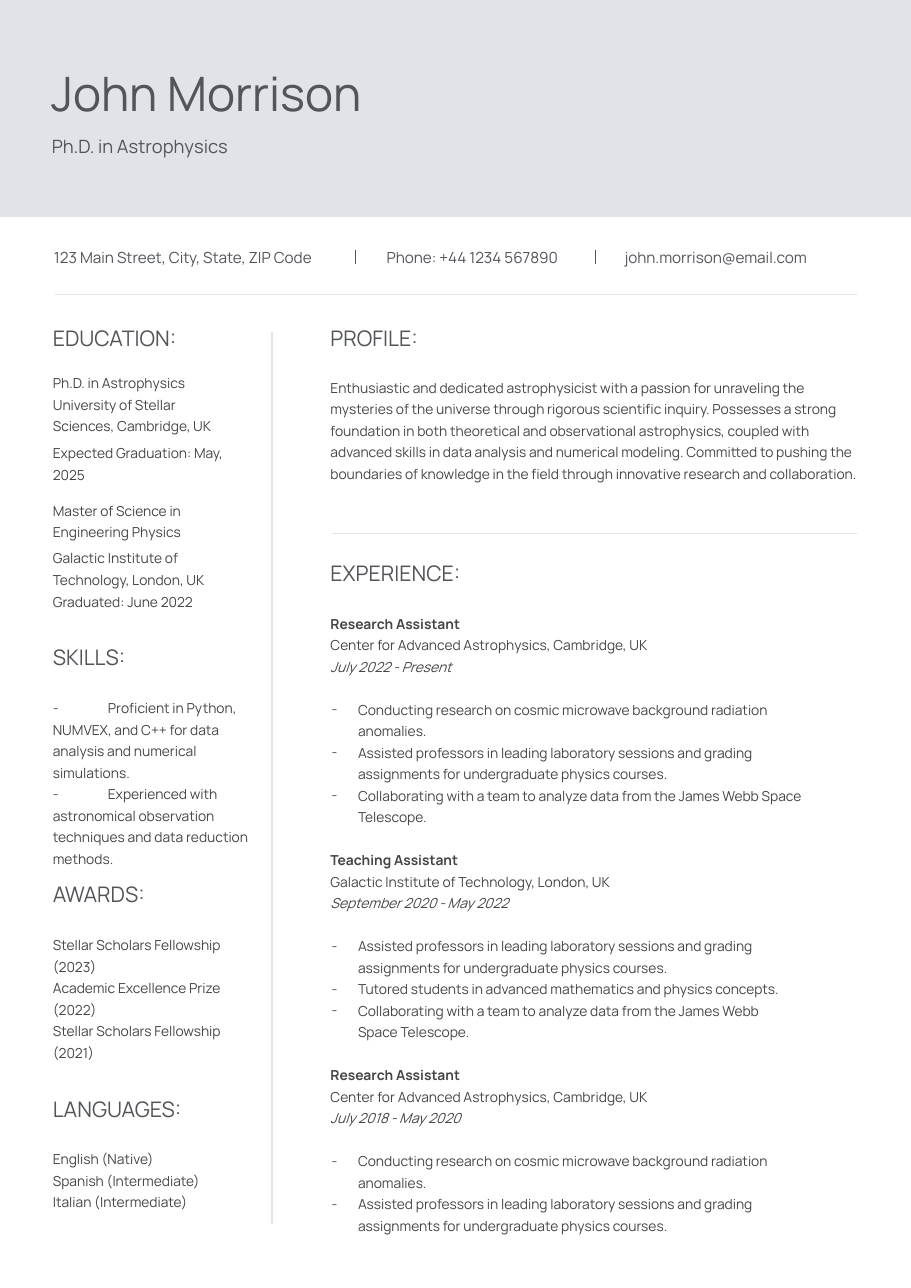
"""Build a one-page astrophysicist résumé slide."""
from dataclasses import dataclass

from lxml.etree import SubElement
from pptx import Presentation
from pptx.dml.color import RGBColor
from pptx.enum.shapes import MSO_CONNECTOR, MSO_SHAPE
from pptx.enum.text import MSO_ANCHOR, MSO_AUTO_SIZE, PP_ALIGN
from pptx.oxml.ns import qn
from pptx.shapes.base import BaseShape
from pptx.slide import Slide
from pptx.text.text import _Paragraph
from pptx.util import Pt

EMU_PER_PX = 9144
FONT = "Manrope"
COLOURS = {"band": "E2E3E9", "name": "535559", "heading": "525559", "body": "454545"}
SIDE_LEFT, MAIN_LEFT, SIDE_WIDTH, MAIN_WIDTH = 48, 300, 190, 478
BODY_SPACING = 1.3
LINE_GAP = 14


@dataclass(frozen=True)
class Box:
    """A rectangle in px."""
    left: int
    top: int
    width: int
    height: int


@dataclass(frozen=True)
class Style:
    """Size, colour and line spacing of a block of text."""
    size: int
    colour: str
    spacing: float = 1.0


@dataclass(frozen=True)
class Line:
    """One paragraph, with the space before it in points."""
    text: str
    before: float = 0
    bold: bool = False
    italic: bool = False
    dash: bool = False


@dataclass(frozen=True)
class Rule:
    """A straight line between two points in px."""
    start_x: int
    start_y: int
    end_x: int
    end_y: int
    colour: str = "band"


@dataclass(frozen=True)
class Job:
    """A post with its place, dates and duties."""
    role: str
    place: str
    dates: str
    duties: tuple[str, ...]


NAME = Style(31, "name")
DEGREE = Style(12, "name")
CONTACT = Style(10, "heading")
HEADING = Style(14, "heading")
BODY = Style(9, "body", BODY_SPACING)

RESEARCH = "Conducting research on cosmic microwave background radiation\vanomalies."
TEACHING = ("Assisted professors in leading laboratory sessions and grading\v"
            "assignments for undergraduate physics courses.")
ASTROPHYSICS_CENTER = "Center for Advanced Astrophysics, Cambridge, UK"
JOBS = [
    Job("Research Assistant", ASTROPHYSICS_CENTER, "July 2022 - Present", (
        RESEARCH, TEACHING,
        "Collaborating with a team to analyze data from the James Webb Space\vTelescope.")),
    Job("Teaching Assistant", "Galactic Institute of Technology, London, UK",
        "September 2020 - May 2022", (
            TEACHING,
            "Tutored students in advanced mathematics and physics concepts.",
            "Collaborating with a team to analyze data from the James Webb\vSpace Telescope.")),
    Job("Research Assistant", ASTROPHYSICS_CENTER, "July 2018 - May 2020",
        (RESEARCH, TEACHING)),
]
EDUCATION = [
    Line("Ph.D. in Astrophysics"),
    Line("University of Stellar"),
    Line("Sciences, Cambridge, UK"),
    Line("Expected Graduation: May,", before=3.5),
    Line("2025"),
    Line("Master of Science in", before=9.5),
    Line("Engineering Physics"),
    Line("Galactic Institute of", before=3),
    Line("Technology, London, UK"),
    Line("Graduated: June 2022"),
]
SKILLS = [
    Line("-\tProficient in Python, NUMVEX, and C++ for data analysis and numerical simulations."),
    Line("-\tExperienced with astronomical observation techniques and data reduction methods."),
]
AWARDS = [
    Line("Stellar Scholars Fellowship (2023)"),
    Line("Academic Excellence Prize (2022)"),
    Line("Stellar Scholars Fellowship (2021)"),
]
LANGUAGES = [Line("English (Native)"), Line("Spanish (Intermediate)"), Line("Italian (Intermediate)")]
PROFILE = [Line(
    "Enthusiastic and dedicated astrophysicist with a passion for unraveling the mysteries of the "
    "universe through rigorous scientific inquiry. Possesses a strong foundation in both theoretical "
    "and observational astrophysics, coupled with advanced skills in data analysis and numerical "
    "modeling. Committed to pushing the boundaries of knowledge in the field through innovative "
    "research and collaboration.")]
HEADINGS = [
    ("EDUCATION:", SIDE_LEFT, 295), ("SKILLS:", SIDE_LEFT, 585), ("AWARDS:", SIDE_LEFT, 800),
    ("LANGUAGES:", SIDE_LEFT, 995), ("PROFILE:", MAIN_LEFT, 295), ("EXPERIENCE:", MAIN_LEFT, 508),
]
CONTACTS = [
    ("123 Main Street, City, State, ZIP Code", 49, 261),
    ("Phone: +44 1234 567890", 351, 188),
    ("john.morrison@email.com", 567, 210),
]
RULES = [
    Rule(323, 227, 323, 240, "heading"), Rule(541, 227, 541, 240, "heading"),
    Rule(50, 267, 778, 267), Rule(247, 301, 247, 1111), Rule(301, 484, 778, 484),
]


def px(length: int) -> int:
    """Turn px into EMU."""
    return length * EMU_PER_PX


def colour(name: str) -> RGBColor:
    """Look up a named colour."""
    return RGBColor.from_string(COLOURS[name])


def job_lines(job: Job, first: bool) -> list[Line]:
    """List the paragraphs of one post."""
    return [
        Line(job.role, before=0 if first else LINE_GAP, bold=True),
        Line(job.place),
        Line(job.dates, italic=True),
        *(Line(duty, before=0 if index else LINE_GAP, dash=True)
          for index, duty in enumerate(job.duties)),
    ]


def set_indent(paragraph: _Paragraph, line: Line) -> None:
    """Set the indent, dash and tab stop of a paragraph."""
    properties = paragraph._p.get_or_add_pPr()
    properties.set("marL", str(px(25) if line.dash else 0))
    properties.set("indent", str(px(-24) if line.dash else 0))
    if line.dash:
        SubElement(properties, qn("a:buFont"), typeface=FONT)
        SubElement(properties, qn("a:buChar"), char="-")
    else:
        SubElement(properties, qn("a:buNone"))
    if "\t" in line.text:
        tabs = SubElement(properties, qn("a:tabLst"))
        SubElement(tabs, qn("a:tab"), pos=str(px(10)), algn="l")


def write(shape: BaseShape, box: Box, lines: list[Line], style: Style) -> None:
    """Place a text shape and fill it with formatted paragraphs."""
    shape.left, shape.top, shape.width, shape.height = map(
        px, (box.left, box.top, box.width, box.height))
    frame = shape.text_frame
    frame.margin_left = frame.margin_right = frame.margin_top = frame.margin_bottom = 0
    frame.word_wrap = True
    frame.auto_size = MSO_AUTO_SIZE.NONE
    frame.vertical_anchor = MSO_ANCHOR.TOP
    for index, line in enumerate(lines):
        paragraph = frame.add_paragraph() if index else frame.paragraphs[0]
        paragraph.text = line.text
        paragraph.alignment = PP_ALIGN.LEFT
        paragraph.line_spacing = style.spacing
        paragraph.space_before = Pt(line.before)
        set_indent(paragraph, line)
        for run in paragraph.runs:
            run.font.name, run.font.size = FONT, Pt(style.size)
            run.font.bold, run.font.italic = line.bold, line.italic
            run.font.color.rgb = colour(style.colour)


def add_text(slide: Slide, box: Box, lines: list[Line], style: Style) -> None:
    """Add a text box."""
    write(slide.shapes.add_textbox(0, 0, 0, 0), box, lines, style)


def add_rule(slide: Slide, rule: Rule) -> None:
    """Add a thin straight line."""
    connector = slide.shapes.add_connector(
        MSO_CONNECTOR.STRAIGHT, px(rule.start_x), px(rule.start_y), px(rule.end_x), px(rule.end_y))
    connector.line.color.rgb = colour(rule.colour)
    connector.line.width = Pt(0.75)
    SubElement(connector._element.spPr, qn("a:effectLst"))


def add_band(slide: Slide) -> None:
    """Add the header band behind everything else."""
    band = slide.shapes.add_shape(MSO_SHAPE.RECTANGLE, 0, 0, px(827), px(197))
    band.shadow.inherit = False
    band.fill.solid()
    band.fill.fore_color.rgb = colour("band")
    band.line.fill.background()
    slide.shapes._spTree.insert(2, band._element)


def main() -> None:
    """Build and save the résumé."""
    presentation = Presentation()
    presentation.slide_width, presentation.slide_height = px(827), px(1169)
    slide = presentation.slides.add_slide(presentation.slide_layouts.get_by_name("Two Content"))
    title, education, experience = slide.placeholders
    add_band(slide)
    write(title, Box(47, 58, 352, 52), [Line("John Morrison")], NAME)
    add_text(slide, Box(47, 123, 352, 20), [Line("Ph.D. in Astrophysics")], DEGREE)
    for text, left, width in CONTACTS:
        add_text(slide, Box(left, 225, width, 17), [Line(text)], CONTACT)
    for text, left, top in HEADINGS:
        add_text(slide, Box(left, top, SIDE_WIDTH, 24), [Line(text)], HEADING)
    write(education, Box(SIDE_LEFT, 336, SIDE_WIDTH, 217), EDUCATION, BODY)
    for lines, top, height in ((SKILLS, 631, 117), (AWARDS, 846, 117), (LANGUAGES, 1040, 59)):
        add_text(slide, Box(SIDE_LEFT, top, SIDE_WIDTH, height), lines, BODY)
    add_text(slide, Box(MAIN_LEFT, 340, MAIN_WIDTH, 114), PROFILE, BODY)
    posts = [line for index, job in enumerate(JOBS) for line in job_lines(job, index == 0)]
    write(experience, Box(MAIN_LEFT, 554, MAIN_WIDTH, 564), posts, BODY)
    for rule in RULES:
        add_rule(slide, rule)
    presentation.save("out.pptx")


if __name__ == "__main__":
    main()
